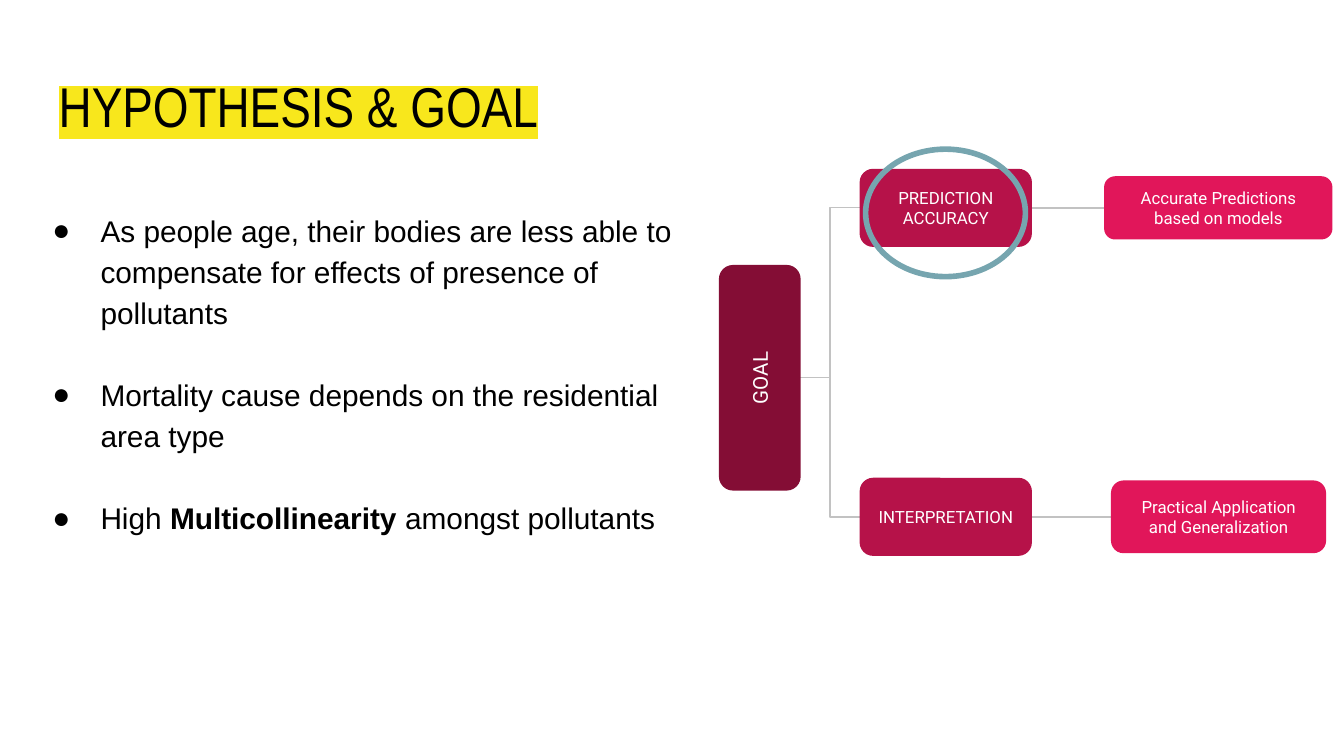
"""Build the hypothesis and goal slide."""
from lxml.etree import SubElement
from pptx import Presentation
from pptx.dml.color import RGBColor
from pptx.enum.shapes import MSO_CONNECTOR, MSO_SHAPE
from pptx.enum.text import MSO_ANCHOR, MSO_AUTO_SIZE, PP_ALIGN
from pptx.oxml.ns import qn
from pptx.util import Cm, Pt


def paint(form, tone):
    if hasattr(form, "solid"):
        form.solid()
        form = form.fore_color
    form.rgb = RGBColor.from_string(tone)


def write(para, text, tone, style):
    run = para.add_run()
    run.text = text
    for name, value in style.items():
        setattr(run.font, name, value)
    paint(run.font.color, tone)
    return run


deck = Presentation()
deck.slide_width, deck.slide_height = Cm(25.4), Cm(14.29)
slide = deck.slides.add_slide(deck.slide_layouts[1])
shapes = slide.shapes
title, body = slide.placeholders

frame = {
    "word_wrap": True,
    "auto_size": MSO_AUTO_SIZE.NONE,
    "vertical_anchor": MSO_ANCHOR.TOP,
    "margin_left": Cm(0.25),
    "margin_right": Cm(0.25),
    "margin_top": Cm(0.25),
    "margin_bottom": Cm(0.25),
}
places = [(title, (0.86, 1.24, 23.67, 1.6)), (body, (0.38, 3.66, 12.65, 9.04))]
for holder, place in places:
    holder.left, holder.top, holder.width, holder.height = map(Cm, place)
    for name, value in frame.items():
        setattr(holder.text_frame, name, value)

head = title.text_frame.paragraphs[0]
head.alignment = PP_ALIGN.LEFT
head.line_spacing = 0.9
run = write(head, "HYPOTHESIS & GOAL", "000000", {"name": "Arial Narrow", "size": Pt(30)})
props = run._r.get_or_add_rPr()
mark = SubElement(props, qn("a:highlight"))
SubElement(mark, qn("a:srgbClr"), val="F8E71C")
props.find(qn("a:solidFill")).addnext(mark)

points = [
    ["As people age, their bodies are less able to compensate for effects of presence of pollutants"],
    ["Mortality cause depends on the residential area type"],
    ["High ", "Multicollinearity", " amongst pollutants"],
]
for i, parts in enumerate(points):
    para = body.text_frame.paragraphs[0] if i == 0 else body.text_frame.add_paragraph()
    props = para._p.get_or_add_pPr()
    props.set("marL", str(Cm(1.27)))
    props.set("indent", str(Cm(-0.91)))
    tint = SubElement(props, qn("a:buClr"))
    SubElement(tint, qn("a:srgbClr"), val="000000")
    SubElement(props, qn("a:buFont"), typeface="Arial")
    SubElement(props, qn("a:buChar"), char="●")
    para.line_spacing = 1.15
    para.space_before = Pt(22 if i else 0)
    for j, part in enumerate(parts):
        write(para, part, "000000", {"name": "Arial", "size": Pt(16), "bold": j == 1})

mid, high, low = 7.14, 3.93, 9.77
links = [
    (15.12, mid, 16.26, low),
    (15.12, mid, 16.26, high),
    (19.49, high, 20.88, high),
    (19.49, low, 21.01, low),
]
for ends in links:
    link = shapes.add_connector(MSO_CONNECTOR.ELBOW, *map(Cm, ends))
    paint(link.line.fill, "C2C2C2")
    link.line.width = Pt(0.75)
    SubElement(link._element.spPr, qn("a:effectLst"))

boxes = [
    ("GOAL", 12.24, mid, 4.24, 1.52, "840D35", 11, 270),
    ("PREDICTION ACCURACY", 16.26, high, 3.23, 1.45, "B61249", 9, 0),
    ("INTERPRETATION", 16.26, low, 3.23, 1.45, "B61249", 9, 0),
    ("Accurate Predictions based on models", 20.88, high, 4.29, 1.17, "E1165A", 9, 0),
    ("Practical Application and Generalization", 21.01, low, 4.04, 1.35, "E1165A", 9, 0),
]
for text, left, row, width, height, tone, size, turn in boxes:
    place = map(Cm, (left, row - height / 2, width, height))
    box = shapes.add_shape(MSO_SHAPE.ROUNDED_RECTANGLE, *place)
    box.rotation = turn
    box.shadow.inherit = False
    paint(box.fill, tone)
    paint(box.line.fill, tone)
    box.line.width = Pt(0.75)
    for name, value in (frame | {"vertical_anchor": MSO_ANCHOR.MIDDLE}).items():
        setattr(box.text_frame, name, value)
    para = box.text_frame.paragraphs[0]
    para.alignment = PP_ALIGN.CENTER
    write(para, text, "FFFFFF", {"name": "Roboto", "size": Pt(size)})

ring = shapes.add_shape(MSO_SHAPE.OVAL, Cm(16.36), Cm(2.82), Cm(3.02), Cm(2.41))
ring.shadow.inherit = False
ring.fill.background()
paint(ring.line.fill, "76A5AF")
ring.line.width = Pt(3)

deck.save("out.pptx")
